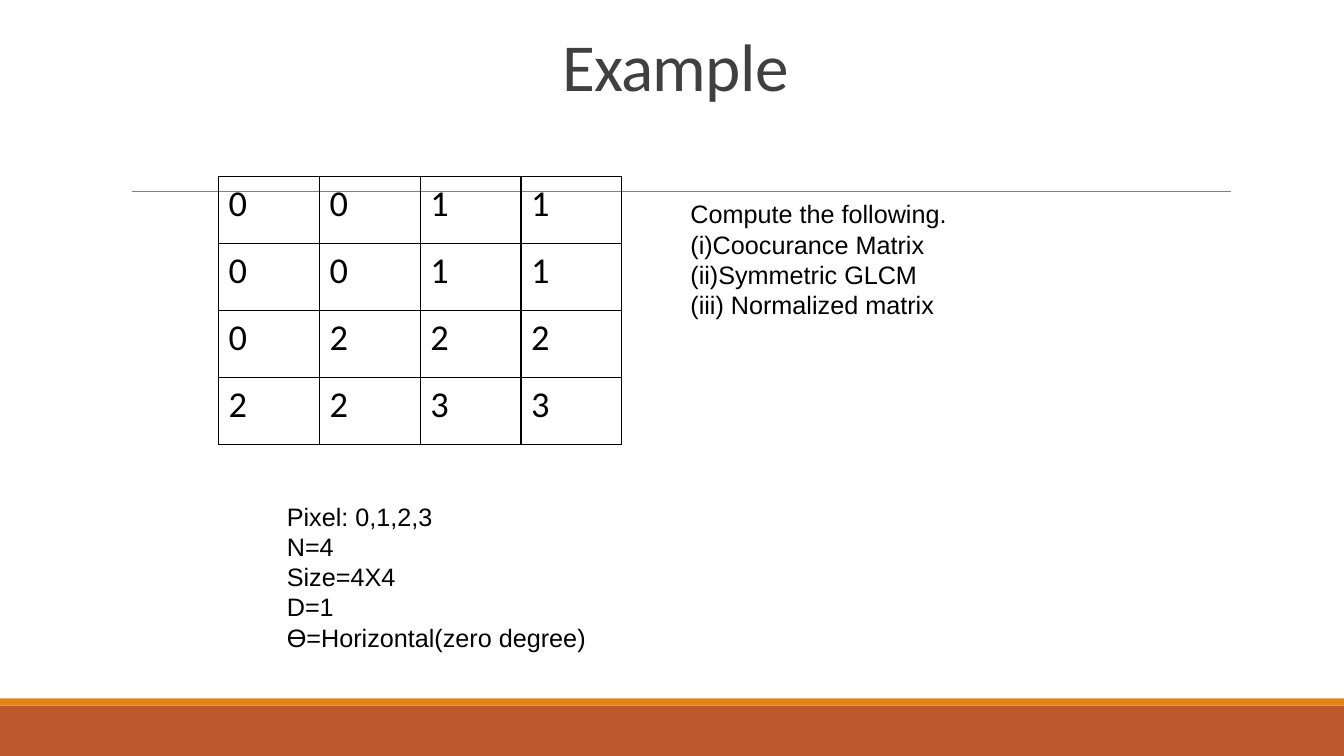
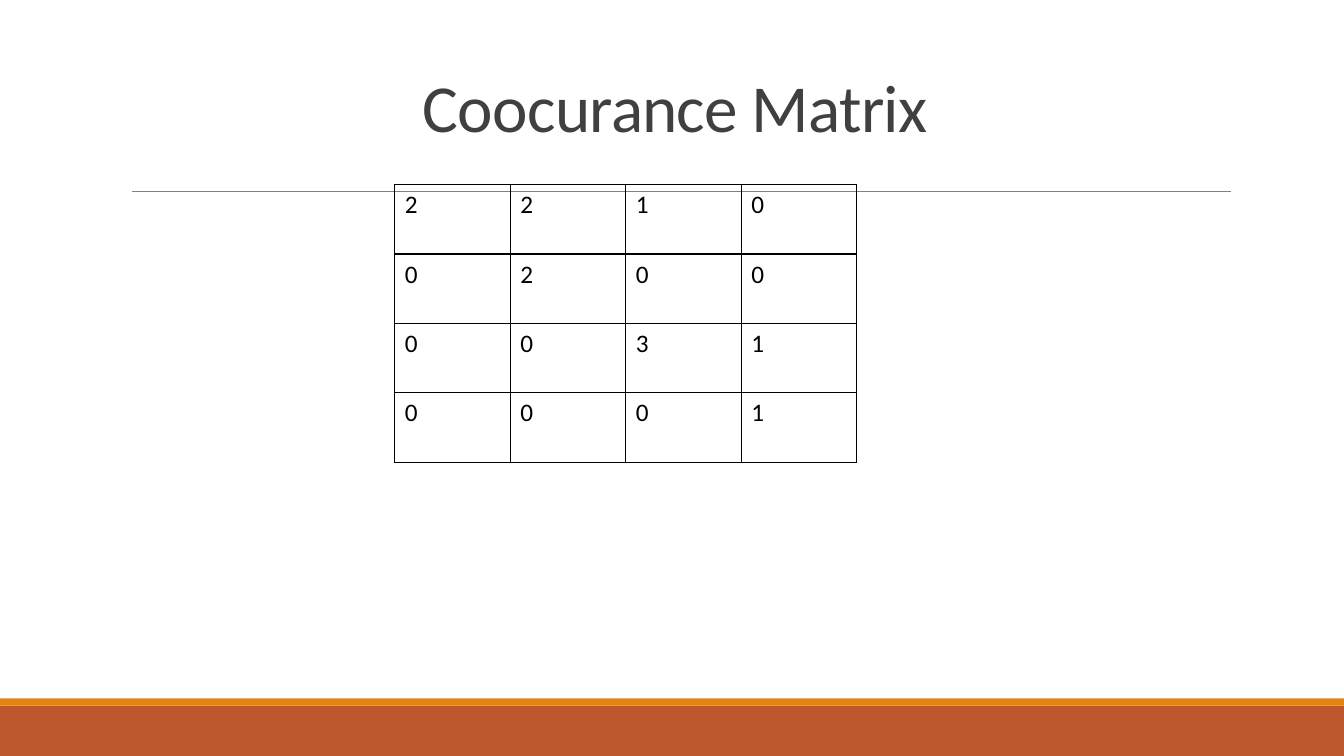
import pptx
import pptx.util
import pptx.dml.color
import pptx.enum.shapes
import pptx.enum.text
import pptx.oxml
import pptx.oxml.ns

Cm = pptx.util.Cm
Pt = pptx.util.Pt
RGBColor = pptx.dml.color.RGBColor
Align = pptx.enum.text.PP_ALIGN
Anchor = pptx.enum.text.MSO_ANCHOR

RUST = RGBColor(0xBD, 0x58, 0x2C)
AMBER = RGBColor(0xE4, 0x83, 0x12)
GREY = RGBColor(0x80, 0x80, 0x80)
DARK = RGBColor(0x40, 0x40, 0x40)
BLACK = RGBColor(0, 0, 0)

WIDTH = 33.87
BANDS = [(17.78, 1.27, RUST), (17.6, 0.18, AMBER)]
HEAD = {"name": "Calibri", "size": Pt(48), "color": DARK}
BODY = {"name": "Arial", "size": Pt(18), "color": BLACK}
CENTRE = {"alignment": Align.CENTER, "line_spacing": 0.85}

PAGES = [
    {
        "title": "Example",
        "height": 2.02,
        "grid": ["0011", "0011", "0222", "2233"],
        "place": (5.51, 4.45),
        "cell": (2.54, 1.69),
        "size": 26,
        "notes": [
            (6.98, 12.5, 18.42, 4.11,
             ["Pixel: 0,1,2,3", "N=4", "Size=4Χ4", "D=1",
              "Ɵ=Horizontal(zero degree)"]),
            (17.15, 4.88, 11.43, 4.11,
             ["Compute the following.", "(i)Coocurance Matrix",
              "(ii)Symmetric GLCM", "(iii) Normalized matrix"]),
        ],
    },
    {
        "title": "Coocurance Matrix",
        "height": 4.04,
        "grid": ["2210", "0200", "0031", "0001"],
        "place": (9.95, 4.65),
        "cell": (2.91, 1.75),
        "size": 18,
        "notes": [],
    },
]


def write(frame, lines, style, layout={}):
    frame.word_wrap = True
    for index, line in enumerate(lines):
        para = frame.paragraphs[0] if index == 0 else frame.add_paragraph()
        for key, value in layout.items():
            setattr(para, key, value)
        run = para.add_run()
        run.text = line
        for key, value in style.items():
            if key == "color":
                run.font.color.rgb = value
            else:
                setattr(run.font, key, value)


def border(cell):
    props = cell._tc.get_or_add_tcPr()
    for side in "LRTB":
        props.append(pptx.oxml.parse_xml(
            f'<a:ln{side} {pptx.oxml.ns.nsdecls("a")} w="{Pt(1)}">'
            f'<a:solidFill><a:srgbClr val="{BLACK}"/></a:solidFill></a:ln{side}>'))
    cell.fill.background()


deck = pptx.Presentation()
deck.slide_width = Cm(WIDTH)
deck.slide_height = Cm(19.05)

for page in PAGES:
    slide = deck.slides.add_slide(deck.slide_layouts[6])
    shapes = slide.shapes

    for top, height, color in BANDS:
        band = shapes.add_shape(pptx.enum.shapes.MSO_SHAPE.RECTANGLE,
                                0, Cm(top), Cm(WIDTH), Cm(height))
        band.shadow.inherit = False
        band.fill.solid()
        band.fill.fore_color.rgb = color
        band.line.fill.background()

    rule = shapes.add_connector(pptx.enum.shapes.MSO_CONNECTOR.STRAIGHT,
                                Cm(3.33), Cm(4.83), Cm(31.01), Cm(4.83))
    rule.line.color.rgb = GREY
    rule.line.width = Pt(0.5)
    rule._element.spPr.append(
        pptx.oxml.parse_xml(f'<a:effectLst {pptx.oxml.ns.nsdecls("a")}/>'))

    title = shapes.add_textbox(Cm(3.05), Cm(0.79), Cm(27.94), Cm(page["height"]))
    frame = title.text_frame
    frame.vertical_anchor = Anchor.MIDDLE
    write(frame, [page["title"]], HEAD, CENTRE)
    frame.paragraphs[0].runs[0].font._element.set("spc", "-50")

    grid = page["grid"]
    rows, cols = len(grid), len(grid[0])
    left, top = page["place"]
    wide, high = page["cell"]
    table = shapes.add_table(rows, cols, Cm(left), Cm(top),
                             Cm(wide * cols), Cm(high * rows)).table
    table.first_row = False
    table.horz_banding = False
    style = {**BODY, "name": "Calibri", "size": Pt(page["size"])}
    for row, digits in enumerate(grid):
        for col, digit in enumerate(digits):
            cell = table.cell(row, col)
            border(cell)
            write(cell.text_frame, [digit], style)

    for left, top, width, height, lines in page["notes"]:
        box = shapes.add_textbox(Cm(left), Cm(top), Cm(width), Cm(height))
        write(box.text_frame, lines, BODY)

deck.save("out.pptx")
